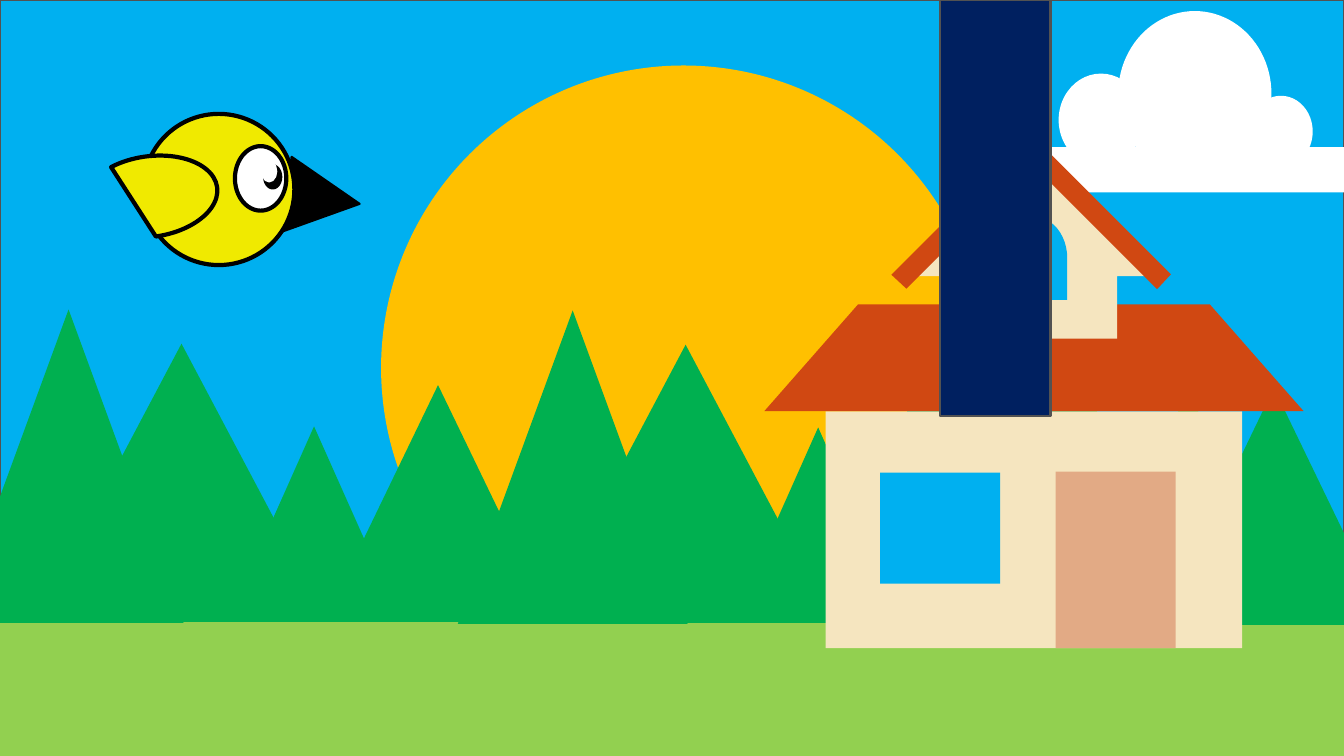
"""Build a slide with a cartoon bird flying past a house and a forest."""
from dataclasses import dataclass

from pptx import Presentation
from pptx import util as u
from pptx.dml import color
from pptx.enum import shapes

KIND = shapes.MSO_SHAPE


@dataclass(frozen=True)
class Theme:
    """Hold the colours and line weights of the scene."""
    night: str = "000000"
    sky: str = "00B0F0"
    sun: str = "FFC000"
    meadow: str = "92D050"
    tree: str = "00B050"
    white: str = "FFFFFF"
    wall: str = "F5E5BF"
    roof: str = "D04812"
    door: str = "E2AA85"
    bird: str = "F0EA00"
    pillar: str = "002060"
    edge: str = "525252"
    thin: float = 1.5
    thick: float = 3


THEME = Theme()


def place(parent, kind, origin, box, fill, line=None, weight=THEME.thin, turn=0, adjust=()):
    """Add one flat shape whose box is measured from the origin."""
    left, top, width, height = box
    shape = parent.shapes.add_shape(
        kind, u.Inches(origin[0] + left), u.Inches(origin[1] + top),
        u.Inches(width), u.Inches(height))
    shape.shadow.inherit = False
    shape.fill.solid()
    shape.fill.fore_color.rgb = color.RGBColor.from_string(fill)
    if line:
        shape.line.color.rgb = color.RGBColor.from_string(line)
        shape.line.width = u.Pt(weight)
    else:
        shape.line.fill.background()
    shape.rotation = turn
    for index, value in enumerate(adjust):
        shape.adjustments[index] = value
    return shape


def draw_landscape(page, origin):
    """Draw the sky, the sun and the meadow."""
    place(page, KIND.RECTANGLE, origin, (0, 0, 13.33, 7.52), THEME.sky, THEME.edge)
    place(page, KIND.OVAL, origin, (3.78, 0.65, 6, 6), THEME.sun)
    place(page, KIND.RECTANGLE, origin, (0, 6.17, 13.33, 1.35), THEME.meadow)


def draw_cloud(page, origin):
    """Draw a flat cloud base with round puffs on it."""
    cloud = page.shapes.add_group_shape()
    place(cloud, KIND.RECTANGLE, origin, (0, 1.35, 3.54, 0.45), THEME.white)
    puffs = [(0.57, 0.62, 0.84, 0.92), (1.16, 0, 1.52, 1.64),
             (2.46, 0.84, 0.63, 0.71), (3.29, 1.35, 0.44, 0.45)]
    for puff in puffs:
        place(cloud, KIND.OVAL, origin, puff, THEME.white)


def draw_trees(page, origin, offsets):
    """Draw four trees of fixed sizes at their offsets in the grove."""
    grove = page.shapes.add_group_shape()
    sizes = [(2.28, 3.11), (2.92, 2.76), (2.27, 2.35), (1.71, 1.92)]
    for offset, size in zip(offsets, sizes):
        place(grove, KIND.ISOSCELES_TRIANGLE, origin, offset + size, THEME.tree)


def draw_house(page, origin):
    """Draw the house with its roof, gable, door and windows."""
    house = page.shapes.add_group_shape()
    place(house, KIND.RECTANGLE, origin, (0.61, 2.95, 4.13, 2.35), THEME.wall)
    place(house, KIND.TRAPEZOID, origin, (0, 1.89, 5.35, 1.06), THEME.roof, adjust=(0.878,))
    place(house, KIND.UP_ARROW, origin, (1.48, 0.44, 2.38, 1.79), THEME.wall,
          adjust=(0.697, 0.653))
    for left, turn in ((1.89, 43), (3.14, 313)):
        place(house, KIND.PARALLELOGRAM, origin, (left, 0, 0.27, 1.95), THEME.roof, turn=turn)
    place(house, KIND.RECTANGLE, origin, (2.89, 3.55, 1.19, 1.75), THEME.door)
    place(house, KIND.RECTANGLE, origin, (1.15, 3.56, 1.19, 1.1), THEME.sky)
    place(house, KIND.FLOWCHART_DELAY, origin, (2.25, 1.09, 0.83, 0.68), THEME.sky, turn=270)


def draw_bird(page, origin):
    """Draw the bird with its beak, body, eye and wing."""
    bird = page.shapes.add_group_shape()
    ink, thick = THEME.night, THEME.thick
    place(bird, KIND.FLOWCHART_EXTRACT, origin, (2.01, 0.48, 0.75, 0.73), ink, ink, turn=97.5)
    place(bird, KIND.OVAL, origin, (0.6, 0, 1.5, 1.5), THEME.bird, ink, thick)
    place(bird, KIND.OVAL, origin, (1.51, 0.32, 0.51, 0.64), THEME.white, ink, thick)
    place(bird, KIND.OVAL, origin, (1.8, 0.51, 0.17, 0.23), ink, ink)
    place(bird, KIND.OVAL, origin, (1.78, 0.47, 0.14, 0.2), THEME.white, THEME.white)
    place(bird, KIND.CHORD, origin, (0, 0.42, 1.34, 0.8), THEME.bird, ink, thick, turn=172)


def main():
    """Compose the scene from back to front and save it."""
    deck = Presentation()
    deck.slide_width, deck.slide_height = u.Inches(13.33), u.Inches(7.5)
    page = deck.slides.add_slide(deck.slide_layouts[6])
    page.background.fill.solid()
    page.background.fill.fore_color.rgb = color.RGBColor.from_string(THEME.night)

    draw_landscape(page, (0, 0))
    draw_cloud(page, (9.93, 0.11))
    forest = [(0, 0), (0.8, 0.34), (3.67, 0.75), (2.72, 1.16)]
    edge_of_forest = [(0, 0), (0.86, 0.35), (3.28, 0.76), (2.71, 0.77)]
    draw_trees(page, (-0.46, 3.07), forest)
    draw_trees(page, (8.22, 3.09), edge_of_forest)
    draw_trees(page, (4.54, 3.08), forest)
    draw_house(page, (7.58, 1.13))
    draw_bird(page, (0.82, 1.13))
    place(page, KIND.RECTANGLE, (9.32, 0), (0, 0, 1.1, 4.13), THEME.pillar, THEME.edge)
    deck.save("out.pptx")


if __name__ == "__main__":
    main()
